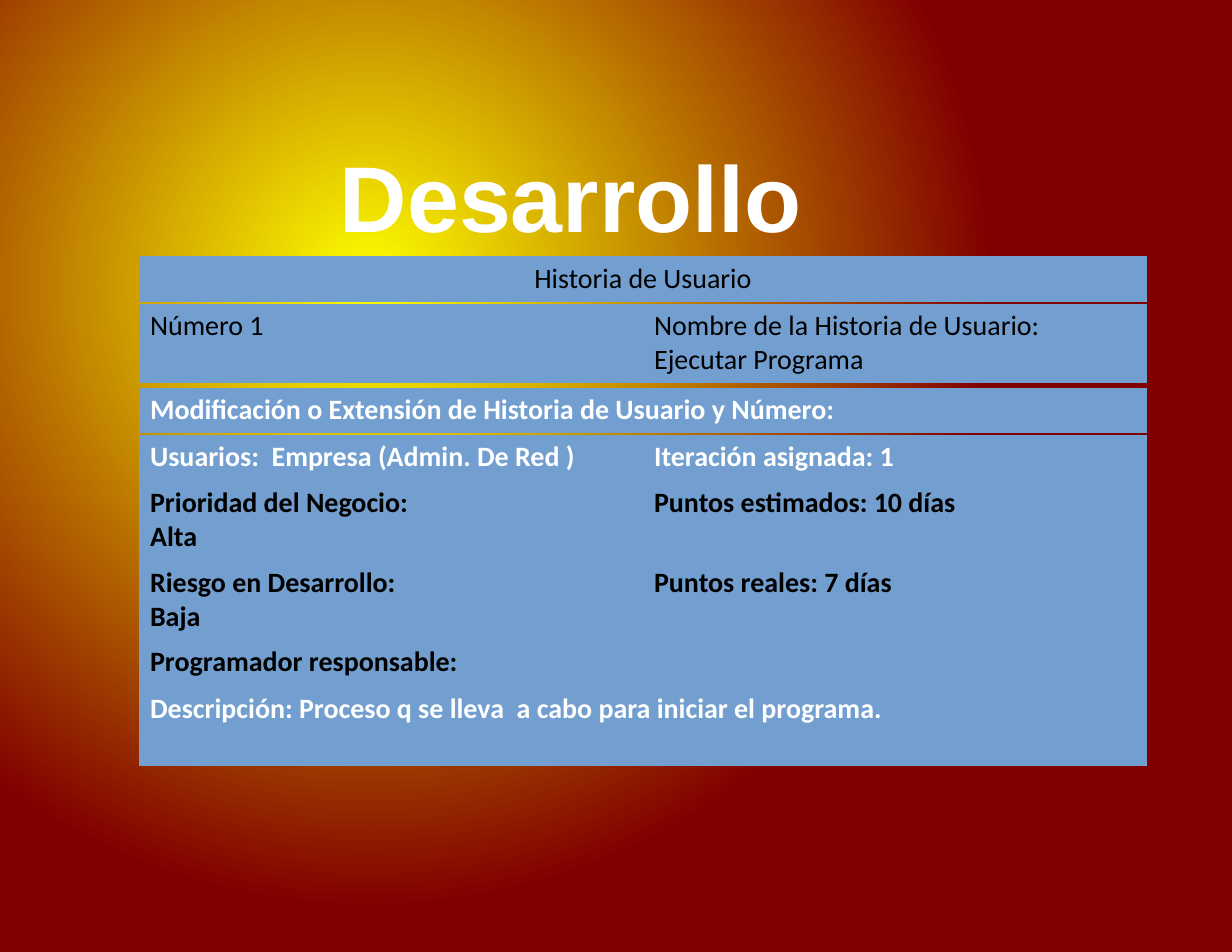
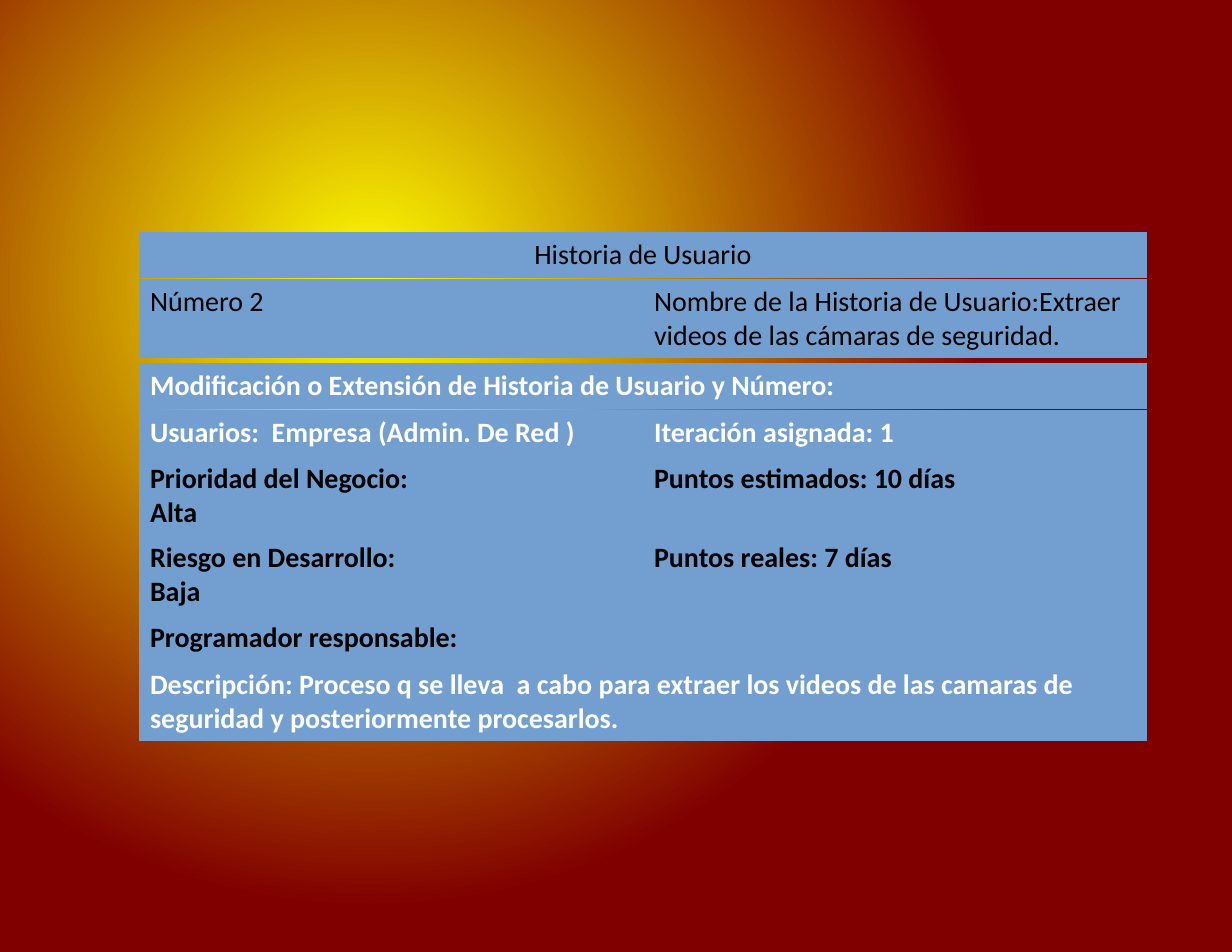
from lxml import etree
from pptx import Presentation
from pptx.dml.color import RGBColor
from pptx.enum import text
from pptx.oxml.ns import qn
from pptx.util import Inches, Pt

WHITE, BLACK, BLUE = "FFFFFF", "000000", "729FCF"
GLOW = [(0, "FFFF00"), (0.8, "800000")]
PLAIN = "{2D5ABB26-0587-4C30-8999-92F81FD0307C}"
LEFT, WIDTH = 1.24, 9
LOW, HIGH = 0.41, 0.71


def paint(color, code):
    color.rgb = RGBColor.from_string(code)


def style(frame, font, size, code, bold, align=None):
    for para in frame.paragraphs:
        if align is not None:
            para.alignment = align
        for run in para.runs:
            run.font.name = font
            run.font.size = Pt(size)
            run.font.bold = bold
            paint(run.font.color, code)


def add_page(deck):
    page = deck.slides.add_slide(deck.slide_layouts[6])
    fill = page.background.fill
    fill.gradient()
    for stop, (place, code) in zip(fill.gradient_stops, GLOW):
        stop.position = place
        paint(stop.color, code)
    grad = page.element.find(".//" + qn("a:gradFill"))
    grad.remove(grad.find(qn("a:lin")))
    ring = etree.SubElement(grad, qn("a:path"), {"path": "circle"})
    edges = {"l": "30000", "t": "30000", "r": "70000", "b": "70000"}
    etree.SubElement(ring, qn("a:fillToRect"), edges)
    return page


def add_title(page, words):
    box = page.shapes.add_textbox(Inches(0.71), Inches(1.17), Inches(8.77), Inches(1.14))
    frame = box.text_frame
    frame.word_wrap = True
    frame.vertical_anchor = text.MSO_ANCHOR.MIDDLE
    frame.margin_left = frame.margin_right = frame.margin_top = frame.margin_bottom = 0
    frame.text = words
    style(frame, "Arial", 60, WHITE, True, text.PP_ALIGN.CENTER)


def add_grid(page, top, rows, heights, codes, bold=True, align=None):
    count = len(rows[0])
    shape = page.shapes.add_table(len(rows), count, Inches(LEFT), Inches(top),
                                  Inches(WIDTH), Inches(sum(heights)))
    grid = shape.table
    grid.first_row = grid.horz_banding = False
    shape.element.find(".//" + qn("a:tableStyleId")).text = PLAIN
    for col in grid.columns:
        col.width = Inches(WIDTH / count)
    for row, words, height, code in zip(grid.rows, rows, heights, codes):
        row.height = Inches(height)
        for cell, word in zip(row.cells, words):
            cell.fill.solid()
            paint(cell.fill.fore_color, BLUE)
            cell.text = word
            style(cell.text_frame, "Calibri", 18, code, bold, align)


def add_story(page, top, number, name, about):
    add_grid(page, top, [["Historia de Usuario"]], [LOW], [BLACK], False,
             text.PP_ALIGN.CENTER)
    add_grid(page, top + 0.42,
             [[f"Número {number}", f"Nombre de la Historia de Usuario:{name}"]],
             [HIGH], [BLACK], False)
    add_grid(page, top + 1.17,
             [["Modificación o Extensión de Historia de Usuario y Número:"]],
             [LOW], [WHITE])
    details = [
        ["Usuarios:  Empresa (Admin. De Red )", "Iteración asignada: 1"],
        ["Prioridad del Negocio:\nAlta", "Puntos estimados: 10 días"],
        ["Riesgo en Desarrollo:\nBaja", "Puntos reales: 7 días"],
        ["Programador responsable:", ""],
    ]
    add_grid(page, top + 1.59, details, [LOW, HIGH, HIGH, 0.48],
             [WHITE, BLACK, BLACK, BLACK])
    add_grid(page, top + 3.84, [[f"Descripción: Proceso q se lleva  a cabo para {about}"]],
             [HIGH], [WHITE])


def main():
    deck = Presentation()
    deck.slide_width, deck.slide_height = Inches(11), Inches(8.5)
    first = add_page(deck)
    add_title(first, "Desarrollo")
    add_story(first, 2.29, 1, "\nEjecutar Programa", "iniciar el programa.")
    add_story(add_page(deck), 2.07, 2, "Extraer videos de las cámaras de seguridad.",
              "extraer los videos de las camaras de seguridad y posteriormente procesarlos.")
    deck.save("out.pptx")


if __name__ == "__main__":
    main()
